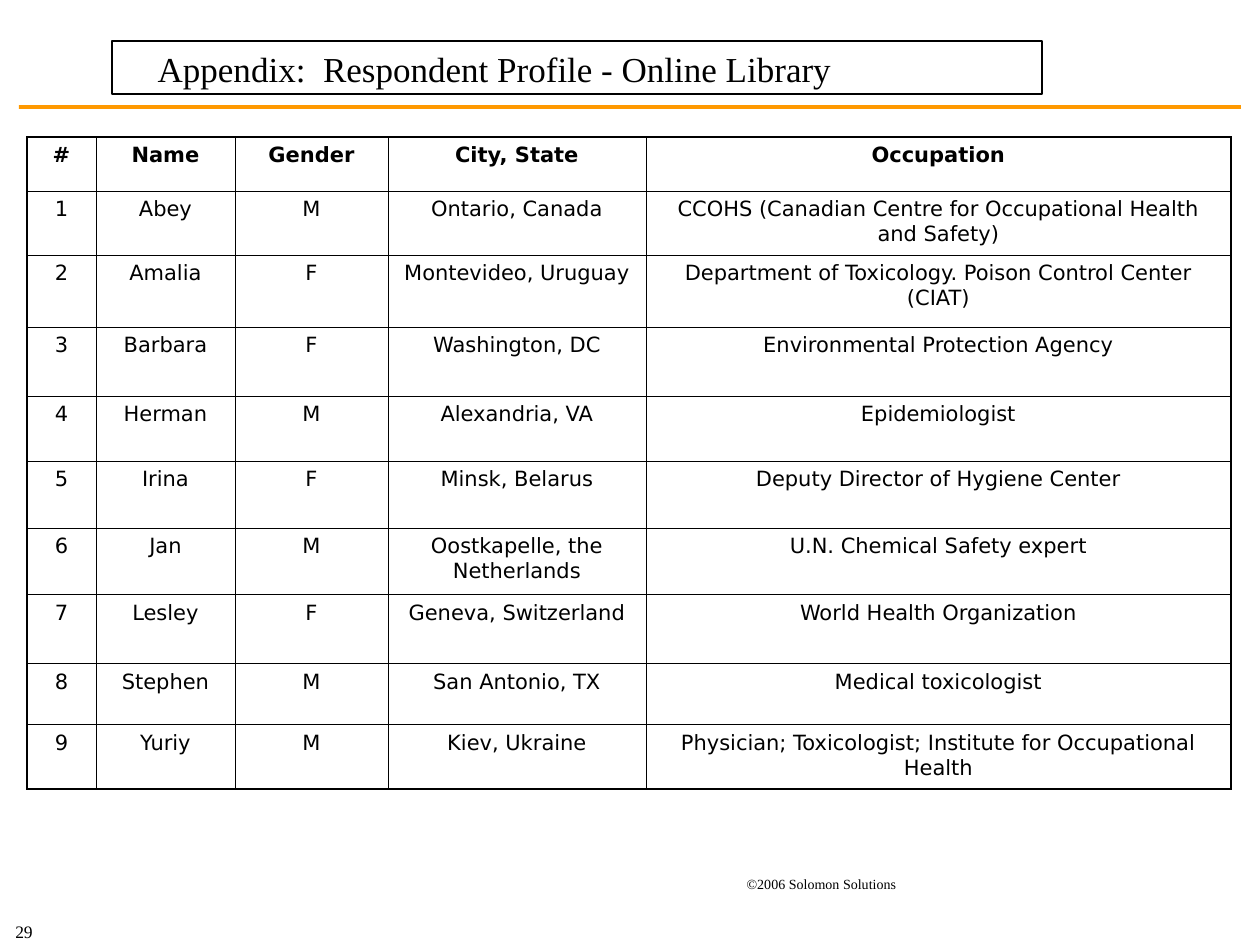
"""Build the respondent profile appendix slide with its table of nine people."""

import dataclasses

import lxml.etree
import pptx
import pptx.dml.color
import pptx.enum.shapes
import pptx.enum.text
import pptx.oxml.ns
import pptx.util

EMU_PER_PX = 914400 / 126
SERIF = "Times New Roman"
SANS = "DejaVu Sans"
COLORS = {"ink": "000000", "paper": "FFFFFF", "rule": "FF9900"}
OUTER_BORDER = 1.08
INNER_BORDER = 0.45

COLUMN_WIDTHS = [69, 139, 153, 258, 585]
ROW_HEIGHTS = [54, 64, 72, 69, 65, 67, 67, 69, 61, 64]
HEADINGS = ["#", "Name", "Gender", "City, State", "Occupation"]


@dataclasses.dataclass(frozen=True)
class Box:
    left: int
    top: int
    width: int
    height: int

    def emu(self) -> tuple:
        return tuple(px(value) for value in dataclasses.astuple(self))


@dataclasses.dataclass(frozen=True)
class Respondent:
    name: str
    gender: str
    city: str
    occupation: str


@dataclasses.dataclass(frozen=True)
class Label:
    text: str
    box: Box
    size: int
    wrap: bool


RESPONDENTS = [
    Respondent("Abey", "M", "Ontario, Canada",
               "CCOHS (Canadian Centre for Occupational Health and Safety)"),
    Respondent("Amalia", "F", "Montevideo, Uruguay",
               "Department of Toxicology. Poison Control Center (CIAT)"),
    Respondent("Barbara", "F", "Washington, DC", "Environmental Protection Agency"),
    Respondent("Herman", "M", "Alexandria, VA", "Epidemiologist"),
    Respondent("Irina", "F", "Minsk, Belarus", "Deputy Director of Hygiene Center"),
    Respondent("Jan", "M", "Oostkapelle, the Netherlands", "U.N. Chemical Safety expert"),
    Respondent("Lesley", "F", "Geneva, Switzerland", "World Health Organization"),
    Respondent("Stephen", "M", "San Antonio, TX", "Medical toxicologist"),
    Respondent("Yuriy", "M", "Kiev, Ukraine",
               "Physician; Toxicologist; Institute for Occupational Health"),
]

LABELS = [
    Label("29", Box(-25, 914, 98, 34), 10, False),
    Label("©2006 Solomon Solutions", Box(621, 869, 401, 30), 8, True),
]


def px(value: int) -> int:
    return round(value * EMU_PER_PX)


def color(name: str) -> pptx.dml.color.RGBColor:
    return pptx.dml.color.RGBColor.from_string(COLORS[name])


def format_paragraph(paragraph, font_name: str, size: int, alignment, bold: bool = False) -> None:
    paragraph.alignment = alignment
    paragraph.font.name = font_name
    paragraph.font.size = pptx.util.Pt(size)
    paragraph.font.bold = bold
    paragraph.font.color.rgb = color("ink")


def format_title(title) -> None:
    title.left, title.top, title.width, title.height = Box(112, 41, 930, 53).emu()
    title.fill.solid()
    title.fill.fore_color.rgb = color("paper")
    title.line.color.rgb = color("ink")
    title.line.width = pptx.util.Pt(0.75)
    frame = title.text_frame
    frame.text = "Appendix:  Respondent Profile - Online Library"
    frame.auto_size = pptx.enum.text.MSO_AUTO_SIZE.NONE
    frame.vertical_anchor = pptx.enum.text.MSO_ANCHOR.TOP
    paragraph = frame.paragraphs[0]
    properties = paragraph._p.get_or_add_pPr()
    properties.set("marL", str(px(33)))
    properties.set("indent", "0")
    format_paragraph(paragraph, SERIF, 20, pptx.enum.text.PP_ALIGN.LEFT)


def add_rule(slide, box: Box) -> None:
    rule = slide.shapes.add_shape(pptx.enum.shapes.MSO_SHAPE.RECTANGLE, *box.emu())
    rule.shadow.inherit = False
    rule.fill.solid()
    rule.fill.fore_color.rgb = color("rule")
    rule.line.fill.background()


def add_label(slide, label: Label) -> None:
    frame = slide.shapes.add_textbox(*label.box.emu()).text_frame
    frame.text = label.text
    frame.word_wrap = label.wrap
    frame.vertical_anchor = pptx.enum.text.MSO_ANCHOR.MIDDLE
    format_paragraph(frame.paragraphs[0], SERIF, label.size, pptx.enum.text.PP_ALIGN.CENTER)


def add_border(cell, side: str, points: float) -> None:
    qn = pptx.oxml.ns.qn
    line = lxml.etree.SubElement(cell._tc.get_or_add_tcPr(), qn(f"a:ln{side}"),
                                 w=str(pptx.util.Pt(points)))
    fill = lxml.etree.SubElement(line, qn("a:solidFill"))
    lxml.etree.SubElement(fill, qn("a:srgbClr"), val=COLORS["ink"])


def format_cell(cell, text: str, is_heading: bool, outer_sides: dict) -> None:
    cell.text = text
    for side, is_outer in outer_sides.items():
        add_border(cell, side, OUTER_BORDER if is_outer else INNER_BORDER)
    cell.fill.background()
    format_paragraph(cell.text_frame.paragraphs[0], SANS, 12,
                     pptx.enum.text.PP_ALIGN.CENTER, is_heading)


def add_respondent_table(slide, left: int, top: int) -> None:
    rows = [HEADINGS] + [
        [str(number), *dataclasses.astuple(respondent)]
        for number, respondent in enumerate(RESPONDENTS, 1)
    ]
    box = Box(left, top, sum(COLUMN_WIDTHS), sum(ROW_HEIGHTS))
    table = slide.shapes.add_table(len(rows), len(HEADINGS), *box.emu()).table
    table.first_row = False
    table.horz_banding = False
    for column, width in zip(table.columns, COLUMN_WIDTHS):
        column.width = px(width)
    for row, height in zip(table.rows, ROW_HEIGHTS):
        row.height = px(height)
    for row_index, row in enumerate(rows):
        for column_index, text in enumerate(row):
            outer_sides = {
                "L": column_index == 0,
                "R": column_index == len(HEADINGS) - 1,
                "T": row_index == 0,
                "B": row_index == len(rows) - 1,
            }
            format_cell(table.cell(row_index, column_index), text, row_index == 0, outer_sides)


def main() -> None:
    presentation = pptx.Presentation()
    presentation.slide_width = px(1260)
    presentation.slide_height = px(945)
    slide = presentation.slides.add_slide(presentation.slide_layouts[5])
    format_title(slide.shapes.title)
    add_rule(slide, Box(19, 105, 1222, 4))
    add_respondent_table(slide, 27, 137)
    for label in LABELS:
        add_label(slide, label)
    presentation.save("out.pptx")


if __name__ == "__main__":
    main()
